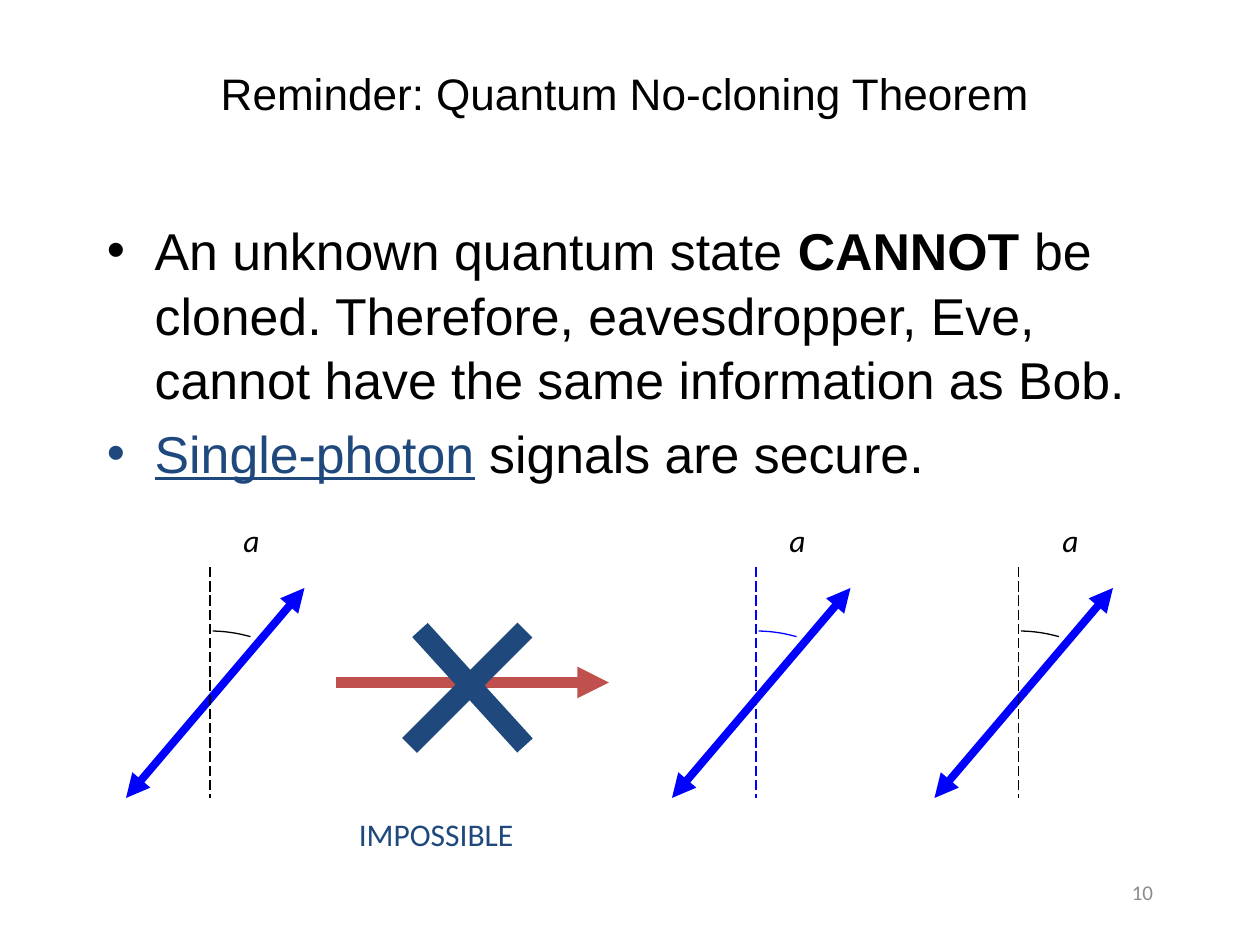
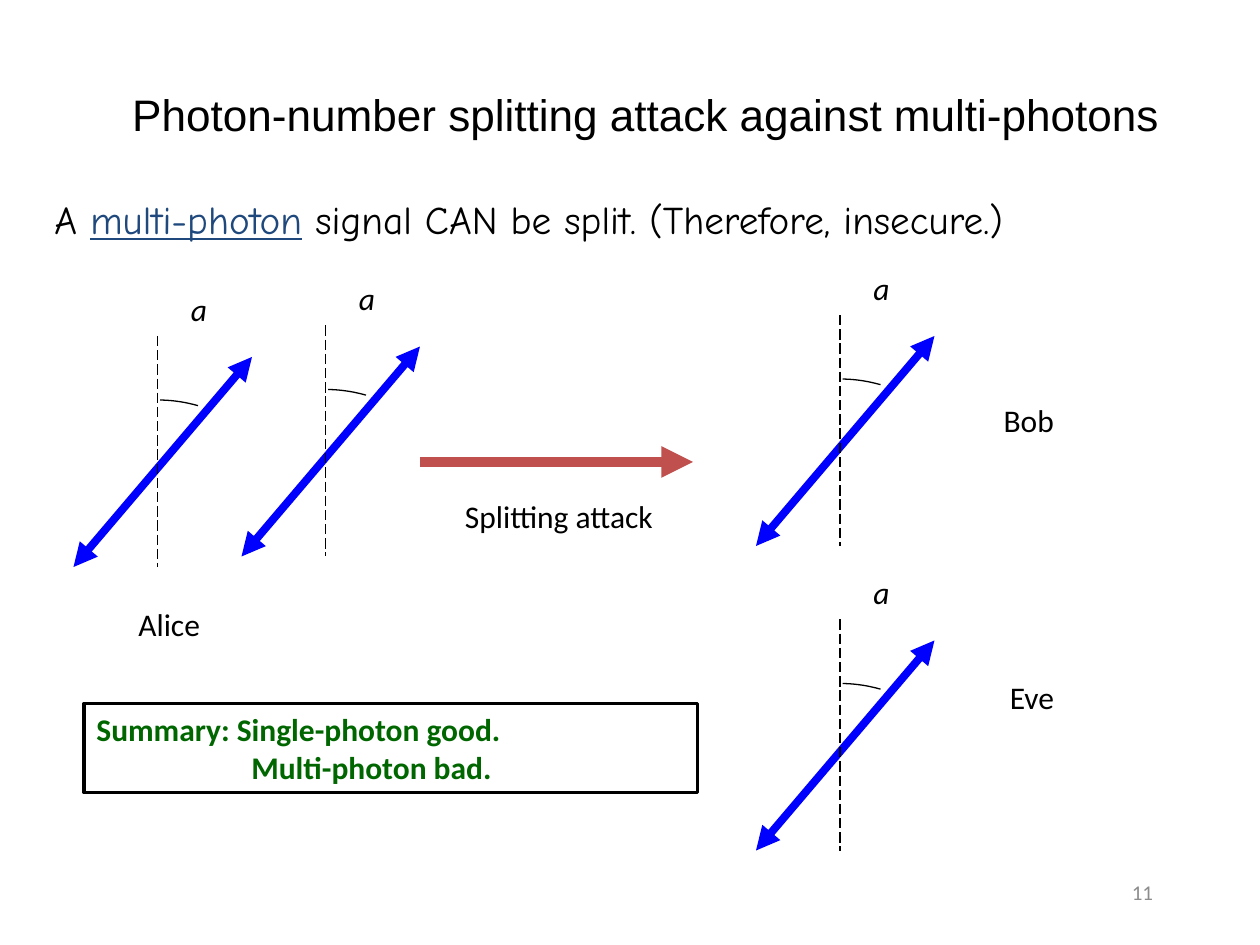
from math import cos, sin, radians

from lxml.etree import SubElement
from pptx import Presentation
from pptx.dml.color import RGBColor
from pptx.enum.dml import MSO_LINE_DASH_STYLE as Dash
from pptx.enum.shapes import MSO_CONNECTOR as Connector, MSO_SHAPE as Preset
from pptx.enum.text import MSO_ANCHOR as Anchor, MSO_AUTO_SIZE as AutoSize, PP_ALIGN as Align
from pptx.oxml.ns import qn
from pptx.util import Inches, Pt

deck = Presentation()
deck.slide_width, deck.slide_height = Inches(10), Inches(7.5)
CELL = deck.slide_width // 120  # grid of 120 columns and 90 rows

COLORS = {"ink": "000000", "grey": "8C8C8C", "navy": "1F497D", "blue": "0000FF",
          "red": "C0504D", "green": "006600"}
TITLE = {"name": "Arial", "size": Pt(25.2)}
BODY = {"name": "Arial", "size": Pt(29.6)}
HAND = {"name": "Comic Neue", "size": Pt(22.4)}
LABEL = {"name": "Calibri", "size": Pt(18)}
ANGLE = {**LABEL, "italic": True}
NUMBER = {"name": "Calibri", "size": Pt(12)}
STRONG = {**LABEL, "bold": True}
INDENT = Inches(0.38)


def add_line(page, ends, color, width, dash=None, arrows=()):
    """Draw a straight line between two grid points, with optional arrowheads."""
    line = page.shapes.add_connector(Connector.STRAIGHT, *[round(CELL * n) for n in ends])
    line.line.color.rgb = RGBColor.from_string(COLORS[color])
    line.line.width = Pt(width)
    if dash:
        line.line.dash_style = dash
    for end in arrows:
        SubElement(line.line._get_or_add_ln(), qn(f"a:{end}"), type="triangle")
    SubElement(line._element.spPr, qn("a:effectLst"))


def write(box, paragraphs, align=Align.LEFT, wrap=True, anchor=Anchor.TOP):
    """Fill a shape with paragraphs, each a list of (text, format, colour) spans."""
    frame = box.text_frame
    frame.word_wrap, frame.vertical_anchor = wrap, anchor
    frame.auto_size = AutoSize.NONE
    for index, spans in enumerate(paragraphs):
        para = frame.paragraphs[0] if index == 0 else frame.add_paragraph()
        para.alignment = align
        for text, format_values, color in spans:
            span = para.add_run()
            span.text = text
            for name, value in format_values.items():
                setattr(span.font, name, value)
            span.font.color.rgb = RGBColor.from_string(COLORS[color])


# Labels: text, column, row, width in columns, colour.
# Photons: axis column and top row, axis colour, label offset, dot offset.
PAGES = [
    {
        "title": "Reminder: Quantum No-cloning Theorem",
        "title_at": (15, 6, 89, 5.6),
        "body_at": (9, 20, 102, 22),
        "bullets": True,
        "body": [
            [("An unknown quantum state ", BODY, "ink"),
             ("CANNOT", {**BODY, "bold": True}, "ink"),
             (" be cloned. Therefore, eavesdropper, Eve, cannot have the same "
              "information as Bob.", BODY, "ink")],
            [("Single-photon", {**BODY, "underline": True}, "navy"),
             (" signals are secure.", BODY, "ink")],
        ],
        "photons": [(20, 54, "ink", 2, (-3, 7)), (72, 54, "blue", 2, (-1, 6)),
                    (97, 54, "ink", 3, (-3, 7))],
        "process": (32, 65, 58, 65),
        "cross": [(40, 60, 50, 71), (50, 60, 39, 71)],
        "labels": [("IMPOSSIBLE", 33, 77, 17.3, "navy")],
        "number": "10",
    },
    {
        "title": "Photon-number splitting attack against multi-photons",
        "title_at": (3, 8, 117, 5.6),
        "body_at": (4, 18, 112, 6),
        "bullets": False,
        "body": [
            [("A ", HAND, "ink"), ("multi-photon", {**HAND, "underline": True}, "navy"),
             (" signal CAN be split. (Therefore, insecure.)", HAND, "ink")],
        ],
        "photons": [(80, 30, "ink", 2, (-1, 6)), (80, 59, "ink", 2, (-1, 6)),
                    (15, 32, "ink", 2, (-1, 6)), (31, 31, "ink", 2, (-2, 7))],
        "process": (40, 44, 66, 44),
        "cross": [],
        "labels": [("Bob", 94.4, 37.6, 7.3, "ink"), ("Eve", 95, 64, 6.7, "ink"),
                   ("Splitting attack", 43.1, 46.7, 20.6, "ink"),
                   ("Alice", 12, 57, 8.4, "ink")],
        "number": "11",
    },
]

for content in PAGES:
    page = deck.slides.add_slide(deck.slide_layouts[5])
    shapes = page.shapes

    title = shapes.title
    for side, cells in zip(("left", "top", "width", "height"), content["title_at"]):
        setattr(title, side, round(CELL * cells))
    write(title, [[(content["title"], TITLE, "ink")]], Align.CENTER, anchor=Anchor.MIDDLE)

    number = shapes.add_textbox(*[CELL * n for n in (86, 82, 25, 6)])
    write(number, [[(content["number"], NUMBER, "grey")]], Align.RIGHT, anchor=Anchor.MIDDLE)

    body = shapes.add_textbox(*[CELL * n for n in content["body_at"]])
    write(body, content["body"])
    for para in body.text_frame.paragraphs:
        para.space_before = Pt(5)
        if content["bullets"]:
            para.line_spacing = 1.04
            properties = para._p.get_or_add_pPr()
            properties.set("marL", str(INDENT))
            properties.set("indent", str(-INDENT))
            SubElement(properties, qn("a:buFont"), typeface="Arial")
            SubElement(properties, qn("a:buChar"), char="•")

    labels = [(*label, LABEL) for label in content["labels"]]
    for column, row, color, label_shift, (dot_x, dot_y) in content["photons"]:
        labels.append(("a", column + label_shift, row - 5, 4, "ink", ANGLE))
        add_line(page, (column + 9, row + 2, column - 8, row + 22), "blue", 4.5,
                 arrows=("headEnd", "tailEnd"))
        add_line(page, (column, row, column, row + 22), color, 0.75, Dash.LONG_DASH)
        add_line(page, (column + dot_x, row + dot_y) * 2, color, 0.75)

        # The angle mark is part of a circle centred on the axis.
        curve = [(CELL * (column + 14 * sin(radians(turn))),
                  CELL * (row + 20.1 - 14 * cos(radians(turn)))) for turn in range(1, 17)]
        builder = shapes.build_freeform(*[round(n) for n in curve[0]])
        builder.add_line_segments([(round(x), round(y)) for x, y in curve[1:]], close=False)
        arc = builder.convert_to_shape()
        arc.shadow.inherit = False
        arc.fill.background()
        arc.line.color.rgb = RGBColor.from_string(COLORS[color])
        arc.line.width = Pt(0.75)

    add_line(page, content["process"], "red", 6, arrows=("tailEnd",))
    for stroke in content["cross"]:
        add_line(page, stroke, "navy", 12)

    for text, column, row, width, color, format_values in labels:
        box = shapes.add_textbox(*[round(CELL * n) for n in (column, row, width, 4.8)])
        write(box, [[(text, format_values, color)]], wrap=False)

# The summary stands on the last slide only.
summary = shapes.add_shape(Preset.RECTANGLE, *[round(CELL * n) for n in (8, 67, 58.4, 8.5)])
summary.shadow.inherit = False
summary.fill.background()
summary.line.color.rgb = RGBColor.from_string(COLORS["ink"])
summary.line.width = Pt(1.75)
write(summary, [[("Summary: Single-photon good.", STRONG, "green")],
                [("Multi-photon bad.", STRONG, "green")]])
second = summary.text_frame.paragraphs[1]._p.get_or_add_pPr()
second.set("marL", str(Inches(1.23)))
second.set("indent", "0")

deck.save("out.pptx")
